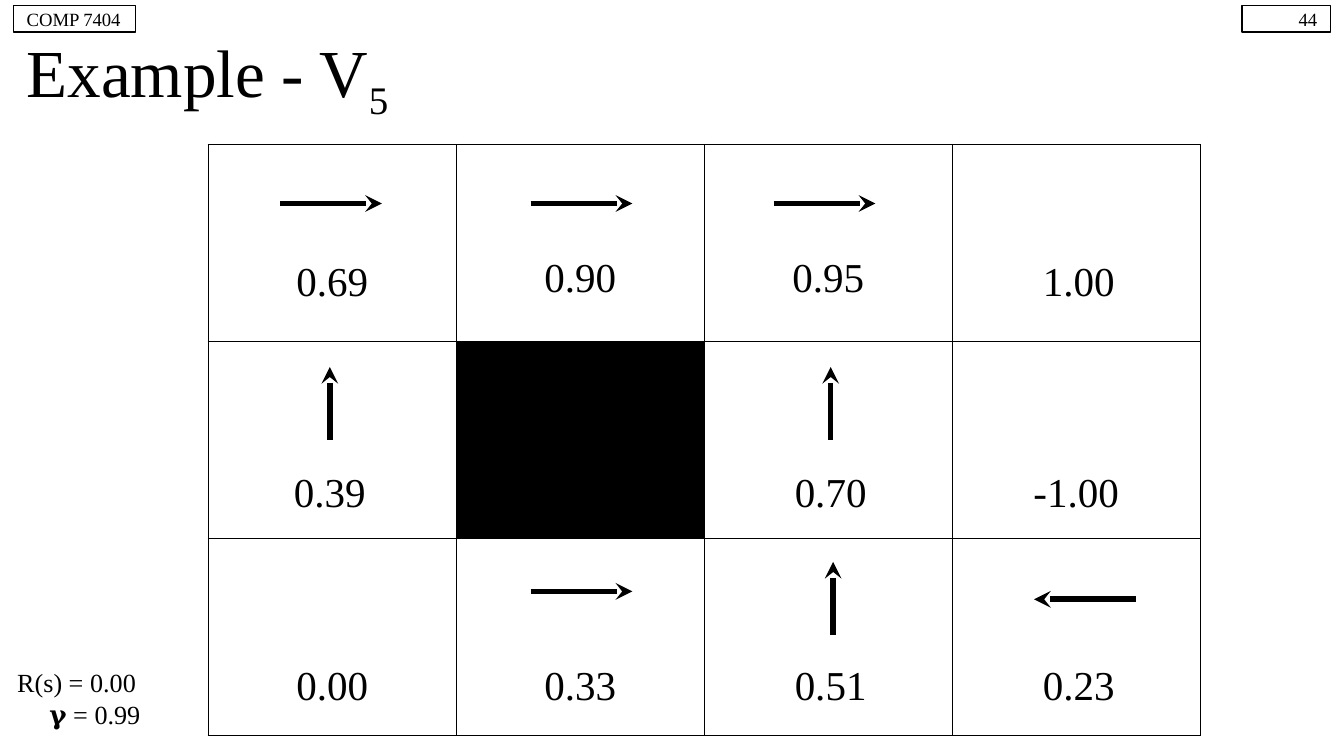
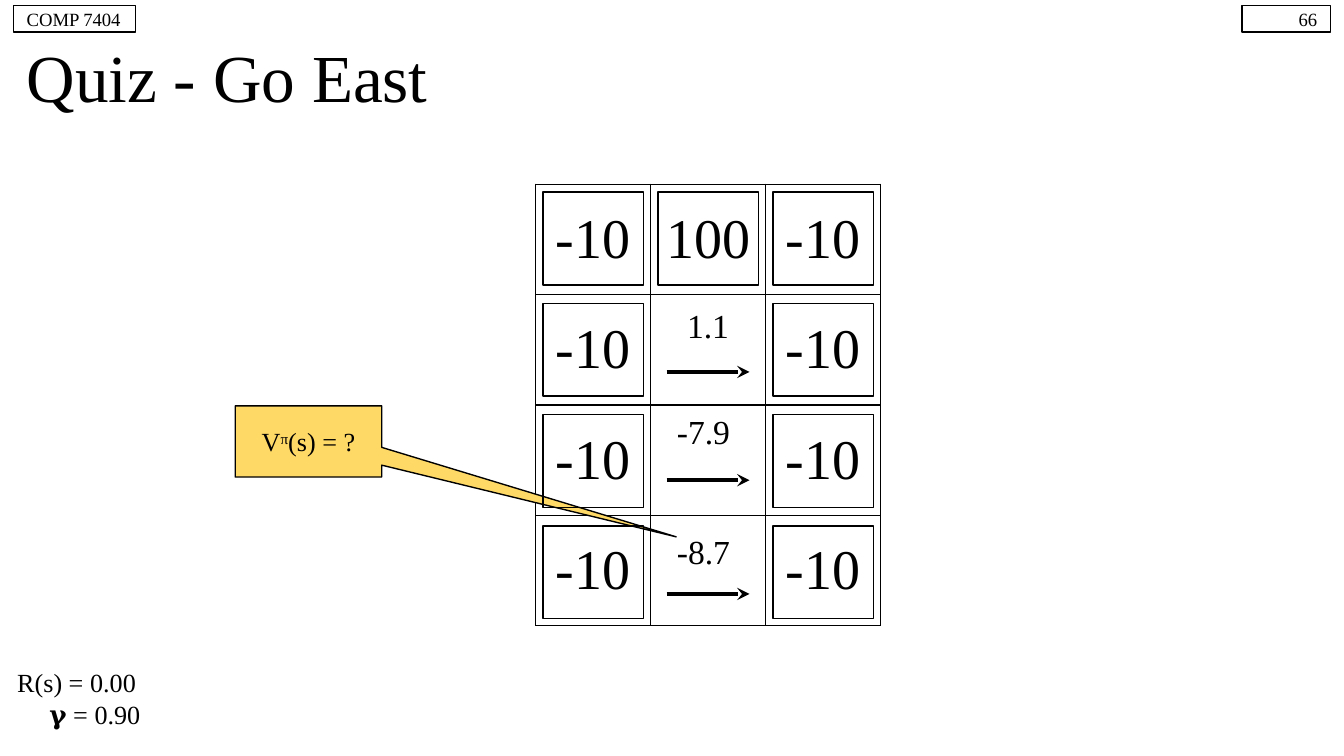
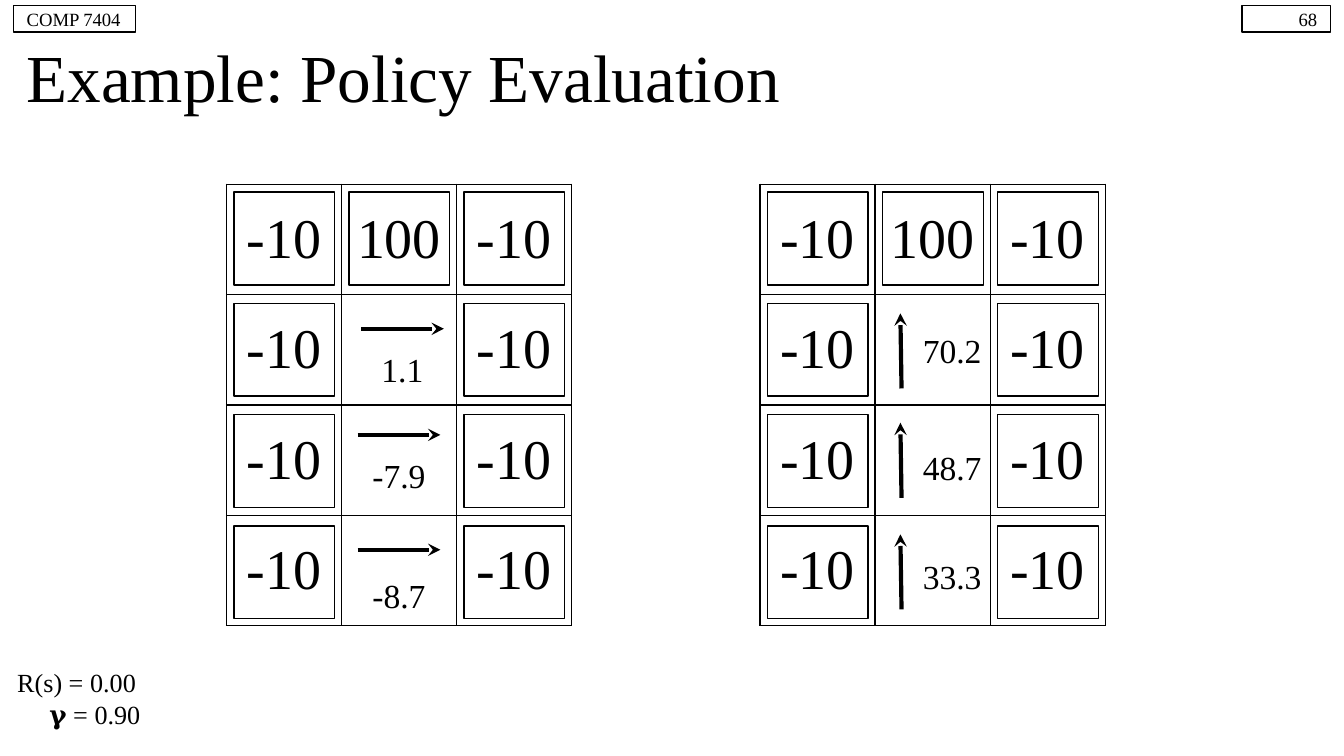
from dataclasses import dataclass

from lxml import etree
from pptx import Presentation
from pptx import util as u
from pptx.dml.color import RGBColor
from pptx.enum import shapes, text
from pptx.oxml.ns import qn


@dataclass(frozen=True)
class Theme:
    font: str = "Times New Roman"
    ink: str = "000000"
    callout: str = "FFD966"
    title: int = 36
    reward: int = 30
    state: int = 22
    value: int = 18
    note: int = 14
    header: int = 10
    thin: float = 0.75
    inset: float = 1
    tight: float = 0.6


@dataclass(frozen=True)
class Board:
    left: float
    top: float
    cell_w: float
    cell_h: float
    cols: int
    rows: int

    def spot(self, col, row):
        return self.left + col * self.cell_w, self.top + row * self.cell_h


COLUMNS, ROWS = 100, 56.25
MODULE = u.Inches(0.1)
LEFT, CENTER, RIGHT = text.PP_ALIGN.LEFT, text.PP_ALIGN.CENTER, text.PP_ALIGN.RIGHT
MIDDLE, TOP = text.MSO_ANCHOR.MIDDLE, text.MSO_ANCHOR.TOP
REWARDS = [["-10", "100", "-10"]] + [["-10", "", "-10"]] * 3


def grid(n):
    return u.Emu(round(n * MODULE))


def rgb(code):
    return RGBColor.from_string(code)


class Deck:
    def __init__(self, theme):
        self.theme = theme
        self.prs = Presentation()
        self.prs.slide_width, self.prs.slide_height = grid(COLUMNS), grid(ROWS)
        self.slide = None

    def new_slide(self, number, title, gamma):
        self.slide = self.prs.slides.add_slide(self.prs.slide_layouts[6])
        t = self.theme
        self.text((1, 2.8, 98, 5.7), [title], t.title)
        self.rect((92.4, 0.4, 6.6, 2), words=[(number, 0)], align=RIGHT)
        self.rect((1, 0.4, 9.1, 2), words=[("COMP 7404", 0)])
        sp = self.text((0.3, 48.6, 12.4, 7.1),
                       [[("R(s) = 0.00", 0)], [(f"𝛄 = {gamma}", 0)]], t.note, anchor=TOP)
        sp.text_frame.paragraphs[1]._p.get_or_add_pPr().set("marL", str(grid(2.4)))

    def add_runs(self, tf, paragraphs, size, align=LEFT):
        for i, runs in enumerate(paragraphs):
            p = tf.add_paragraph() if i else tf.paragraphs[0]
            p.alignment = align
            for words, baseline in runs:
                r = p.add_run()
                r.text = words
                r.font.name, r.font.size = self.theme.font, u.Pt(size)
                r.font.color.rgb = rgb(self.theme.ink)
                if baseline:
                    r._r.get_or_add_rPr().set("baseline", str(baseline * 1000))

    def fit(self, tf, inset, anchor):
        tf.word_wrap = True
        tf.vertical_anchor = anchor
        tf.margin_left = tf.margin_right = tf.margin_top = tf.margin_bottom = grid(inset)

    def text(self, box, paragraphs, size, align=LEFT, anchor=MIDDLE, inset=None):
        sp = self.slide.shapes.add_textbox(*map(grid, box))
        self.fit(sp.text_frame, inset or self.theme.inset, anchor)
        self.add_runs(sp.text_frame, paragraphs, size, align)
        return sp

    def rect(self, box, kind=shapes.MSO_SHAPE.RECTANGLE, fill=None, words=None,
             size=None, align=LEFT):
        sp = self.slide.shapes.add_shape(kind, *map(grid, box))
        sp.shadow.inherit = False
        if fill:
            sp.fill.solid()
            sp.fill.fore_color.rgb = rgb(fill)
        else:
            sp.fill.background()
        sp.line.color.rgb, sp.line.width = rgb(self.theme.ink), u.Pt(self.theme.thin)
        if words:
            self.fit(sp.text_frame, self.theme.inset, MIDDLE)
            self.add_runs(sp.text_frame, [words], size or self.theme.header, align)
        return sp

    def callout(self, box, words, adjustments):
        sp = self.rect(box, shapes.MSO_SHAPE.ROUNDED_RECTANGULAR_CALLOUT,
                       self.theme.callout, words, self.theme.note, CENTER)
        for i, value in enumerate(adjustments):
            sp.adjustments[i] = value

    def border(self, cell):
        tc_pr = cell._tc.get_or_add_tcPr()
        for side in ("a:lnL", "a:lnR", "a:lnT", "a:lnB"):
            ln = etree.SubElement(tc_pr, qn(side), w=str(u.Pt(self.theme.thin)))
            fill = etree.SubElement(ln, qn("a:solidFill"))
            etree.SubElement(fill, qn("a:srgbClr"), val=self.theme.ink)

    def table(self, board, rows=()):
        size = board.cols * board.cell_w, board.rows * board.cell_h
        table = self.slide.shapes.add_table(
            board.rows, board.cols, *map(grid, (board.left, board.top, *size))).table
        table.first_row = table.horz_banding = False
        for column in table.columns:
            column.width = grid(board.cell_w)
        for row in table.rows:
            row.height = grid(board.cell_h)
        for cell in table.iter_cells():
            self.border(cell)
            cell.fill.background()
            cell.vertical_anchor = MIDDLE
            cell.margin_left = cell.margin_right = grid(self.theme.inset)
            cell.margin_top = cell.margin_bottom = grid(self.theme.inset)
        for i, row in enumerate(rows):
            for j, words in enumerate(row):
                if words:
                    self.add_runs(table.cell(i, j).text_frame, [[(words, 0)]],
                                  self.theme.reward, CENTER)

    def frames(self, board, rows, pitch=8.28):
        for i, row in enumerate(rows):
            for j, words in enumerate(row):
                if words:
                    x, _ = board.spot(j, i)
                    self.rect((x + 0.55, board.top + 0.6 + i * pitch, 7.5, 6.9))

    def labels(self, board, items, size, height, inset, span=1):
        width = board.cell_w * span
        for words, col, row in items:
            x, y = board.spot(col, row)
            self.text((x - width / 2, y - height / 2, width, height),
                      [[(words, 0)]], size, CENTER, inset=inset)

    def values(self, board, items, span=1):
        self.labels(board, items, self.theme.value, 4.7, self.theme.inset, span)

    def arrows(self, board, step, starts, weight=2.25):
        for col, row in starts:
            start = board.spot(col, row)
            end = board.spot(col + step[0], row + step[1])
            line = self.slide.shapes.add_connector(
                shapes.MSO_CONNECTOR.STRAIGHT, *map(grid, start + end))
            line.line.color.rgb, line.line.width = rgb(self.theme.ink), u.Pt(weight)
            etree.SubElement(line.line._get_or_add_ln(), qn("a:tailEnd"), type="stealth")
            etree.SubElement(line._element.spPr, qn("a:effectLst"))


def value_iteration(deck):
    deck.new_slide("44", [("Example - V", 0), ("5", -25)], "0.99")
    board = Board(15.5, 10.75, 18.45, 14.65, 4, 3)
    deck.table(board)
    deck.rect((*board.spot(1, 1), board.cell_w, board.cell_h), fill=deck.theme.ink)
    deck.labels(board, [
        ("0.69", 0.5, 0.69), ("0.90", 1.5, 0.67), ("0.95", 2.5, 0.67), ("1.00", 3.51, 0.69),
        ("0.39", 0.49, 1.76), ("0.70", 2.51, 1.76), ("-1.00", 3.5, 1.76),
        ("0.00", 0.5, 2.74), ("0.33", 1.5, 2.74), ("0.51", 2.51, 2.74), ("0.23", 3.51, 2.74),
    ], deck.theme.state, 4.6, deck.theme.tight)
    for step, starts in (
        ((0.41, 0), [(0.29, 0.3), (1.3, 0.3), (2.28, 0.3), (1.3, 2.27)]),
        ((0, -0.37), [(0.49, 1.5), (2.51, 1.5), (2.52, 2.49)]),
        ((-0.41, 0), [(3.74, 2.31)]),
    ):
        deck.arrows(board, step, starts, weight=3)


def go_east_quiz(deck):
    deck.new_slide("66", [("Quiz - Go East", 0)], "0.90")
    board = Board(39.85, 13.7, 8.56, 8.22, 3, 4)
    deck.values(board, [("1.1", 1.5, 1.28), ("-7.9", 1.46, 2.24), ("-8.7", 1.46, 3.32)])
    deck.table(board, REWARDS)
    deck.arrows(board, (0.72, 0), [(1.14, 1.7), (1.14, 2.68), (1.14, 3.71)])
    deck.callout((17.5, 30.2, 10.9, 5.3), [("V", 0), ("π", 30), ("(s) = ?", 0)],
                 (2.51, 1.34, 0))
    deck.frames(board, REWARDS)


def policy_evaluation(deck):
    deck.new_slide("68", [("Example: Policy Evaluation", 0)], "0.90")
    east = Board(16.85, 13.7, 8.56, 8.22, 3, 4)
    north = Board(56.55, 13.7, 8.56, 8.22, 3, 4)
    for board in (east, north):
        deck.table(board, REWARDS)
        deck.frames(board, REWARDS)
    deck.arrows(east, (0.72, 0), [(1.17, 1.31), (1.14, 2.27), (1.14, 3.31)])
    deck.arrows(north, (-0.01, -0.68), [(1.23, 1.85), (1.23, 2.84), (1.23, 3.85)])
    deck.values(east, [("1.1", 1.53, 1.67), ("-7.9", 1.5, 2.63), ("-8.7", 1.5, 3.72)])
    deck.values(north, [("70.2", 1.67, 1.5), ("48.7", 1.67, 2.56), ("33.3", 1.67, 3.55)],
                span=0.77)


def main():
    deck = Deck(Theme())
    value_iteration(deck)
    go_east_quiz(deck)
    policy_evaluation(deck)
    deck.prs.save("out.pptx")


if __name__ == "__main__":
    main()
